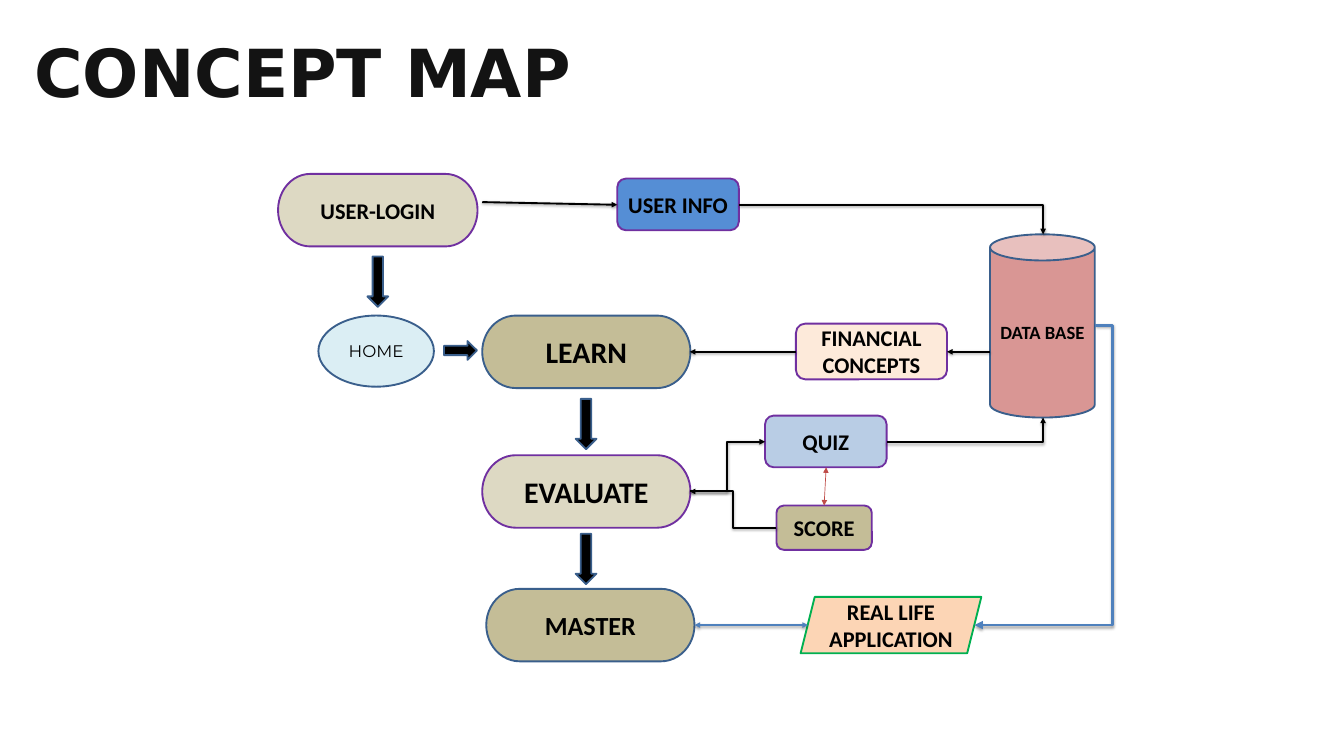
from lxml import etree
from pptx import Presentation
from pptx.dml.color import RGBColor
from pptx.enum.shapes import MSO_CONNECTOR as Link, MSO_SHAPE as Kind
from pptx.enum.text import MSO_ANCHOR, PP_ALIGN
from pptx.oxml.ns import qn
from pptx.util import Inches, Pt

COLORS = {
    "black": "000000", "title": "131313", "purple": "7030A0",
    "navy": "3A5F8C", "blue": "4F81BD", "red": "BF4C48",
    "green": "00B050", "sand": "DDD9C3", "khaki": "C4BD97",
    "azure": "558ED5", "cream": "FDEADA", "rose": "D99694",
    "sky": "B9CDE5", "ice": "DBEEF4", "peach": "FCD5B5",
}
PILL = Kind.FLOWCHART_TERMINATOR
ROUND = Kind.ROUNDED_RECTANGLE

# kind, left, top, width, height, fill, line, text, size
NODES = [
    (PILL, 4.14, 2.59, 2.97, 1.08, "sand", "purple", "USER-LOGIN", 24),
    (PILL, 7.18, 4.7, 3.1, 1.08, "khaki", "navy", "LEARN", 32),
    (PILL, 7.18, 6.78, 3.1, 1.08, "sand", "purple", "EVALUATE", 32),
    (PILL, 7.24, 8.77, 3.1, 1.08, "khaki", "navy", "MASTER", 28),
    (ROUND, 9.19, 2.66, 1.81, 0.77, "azure", "purple", "USER INFO", 24),
    (ROUND, 11.85, 4.82, 2.25, 0.83, "cream", "purple",
     "FINANCIAL CONCEPTS", 24),
    (Kind.CAN, 14.74, 3.49, 1.56, 2.73, "rose", "navy", "DATA BASE", 20),
    (ROUND, 11.39, 6.19, 1.81, 0.77, "sky", "purple", "QUIZ", 24),
    (ROUND, 11.56, 7.53, 1.42, 0.66, "khaki", "purple", "SCORE", 24),
    (Kind.PARALLELOGRAM, 11.92, 8.89, 2.69, 0.84, "peach", "green",
     "REAL LIFE APPLICATION", 24),
]
DOWN_ARROWS = [(5.47, 3.82), (8.57, 5.94), (8.57, 7.95)]

# start x, start y, end x, end y
STRAIGHT = [
    (7.18, 3.01, 9.19, 3.05),
    (11.85, 5.24, 10.27, 5.24),
    (14.74, 5.24, 14.1, 5.24),
]
CORNERS = [(11.01, 3.05, 15.53, 3.49), (13.2, 6.58, 15.53, 6.22)]
STEPS = [(10.27, 7.32, 11.39, 6.58), (11.56, 7.86, 10.27, 7.32)]


def color(name):
    return RGBColor.from_string(COLORS[name])


def add_run(para, text, size, font="Calibri", tint="black", bold=True):
    run = para.add_run()
    run.text = text
    run.font.name = font
    run.font.size = Pt(size)
    run.font.bold = bold
    run.font.color.rgb = color(tint)


def add_title(slide, text):
    box = slide.shapes.add_textbox(
        Inches(0.51), Inches(0.47), Inches(10.67), Inches(1.19))
    frame = box.text_frame
    frame.word_wrap = True
    frame.margin_left = frame.margin_right = 0
    frame.margin_top = frame.margin_bottom = 0
    add_run(frame.paragraphs[0], text, 71, "DejaVu Sans", "title")


def add_block(slide, kind, left, top, width, height, fill, line):
    block = slide.shapes.add_shape(
        kind, Inches(left), Inches(top), Inches(width), Inches(height))
    block.shadow.inherit = False
    block.fill.solid()
    block.fill.fore_color.rgb = color(fill)
    block.line.color.rgb = color(line)
    block.line.width = Pt(2)
    return block


def add_node(slide, kind, left, top, width, height, fill, line, text, size,
             **style):
    node = add_block(slide, kind, left, top, width, height, fill, line)
    frame = node.text_frame
    frame.word_wrap = True
    frame.vertical_anchor = MSO_ANCHOR.MIDDLE
    para = frame.paragraphs[0]
    para.alignment = PP_ALIGN.CENTER
    add_run(para, text, size, **style)


def add_shadow(props, alpha):
    """Give the line a soft shadow below, or none when alpha is 0."""
    effects = etree.SubElement(props, qn("a:effectLst"))
    if alpha:
        outer = etree.SubElement(
            effects, qn("a:outerShdw"), blurRad=str(Pt(3.1)),
            dist=str(Pt(1.6)), dir="5400000", rotWithShape="0")
        tone = etree.SubElement(outer, qn("a:srgbClr"), val=COLORS["black"])
        etree.SubElement(tone, qn("a:alpha"), val=str(alpha * 1000))


def add_link(slide, ends, tint="black", width=2, shape=None, bend=None,
             both=False, alpha=38):
    """Draw an arrow; shape names a bent preset, bend places its middle."""
    kind = Link.ELBOW if shape else Link.STRAIGHT
    link = slide.shapes.add_connector(kind, *[Inches(n) for n in ends])
    link.line.color.rgb = color(tint)
    link.line.width = Pt(width)
    props = link._element.spPr
    if shape:
        geom = props.find(qn("a:prstGeom"))
        geom.set("prst", shape)
        if bend is not None:
            etree.SubElement(geom.find(qn("a:avLst")), qn("a:gd"),
                             name="adj1", fmla=f"val {round(bend * 100000)}")
    stroke = props.find(qn("a:ln"))
    for tip in ("a:headEnd", "a:tailEnd") if both else ("a:tailEnd",):
        etree.SubElement(stroke, qn(tip), type="triangle")
    add_shadow(props, alpha)


def main():
    deck = Presentation()
    deck.slide_width = Inches(20.01)
    deck.slide_height = Inches(11.26)
    slide = deck.slides.add_slide(deck.slide_layouts[6])

    add_title(slide, "CONCEPT MAP")
    for node in NODES:
        add_node(slide, *node)
    add_node(slide, Kind.OVAL, 4.74, 4.7, 1.72, 1.06, "ice", "navy",
             "HOME", 18, font="Montserrat", bold=False)

    for left, top in DOWN_ARROWS:
        add_block(slide, Kind.DOWN_ARROW, left, top, 0.31, 0.75,
                  "black", "navy")
    add_block(slide, Kind.RIGHT_ARROW, 6.61, 5.08, 0.49, 0.28,
              "black", "navy")

    for ends in STRAIGHT:
        add_link(slide, ends)
    for ends in CORNERS:
        add_link(slide, ends, shape="bentConnector2")
    for ends in STEPS:
        add_link(slide, ends, shape="bentConnector3", bend=0.5)
    add_link(slide, (12.3, 6.96, 12.27, 7.53), "red", 0.75,
             both=True, alpha=0)
    add_link(slide, (16.31, 4.85, 14.51, 9.31), "blue", 3,
             shape="bentConnector3", bend=-0.14, alpha=35)
    add_link(slide, (10.34, 9.31, 12.03, 9.31), "blue", both=True)

    deck.save("out.pptx")


if __name__ == "__main__":
    main()
